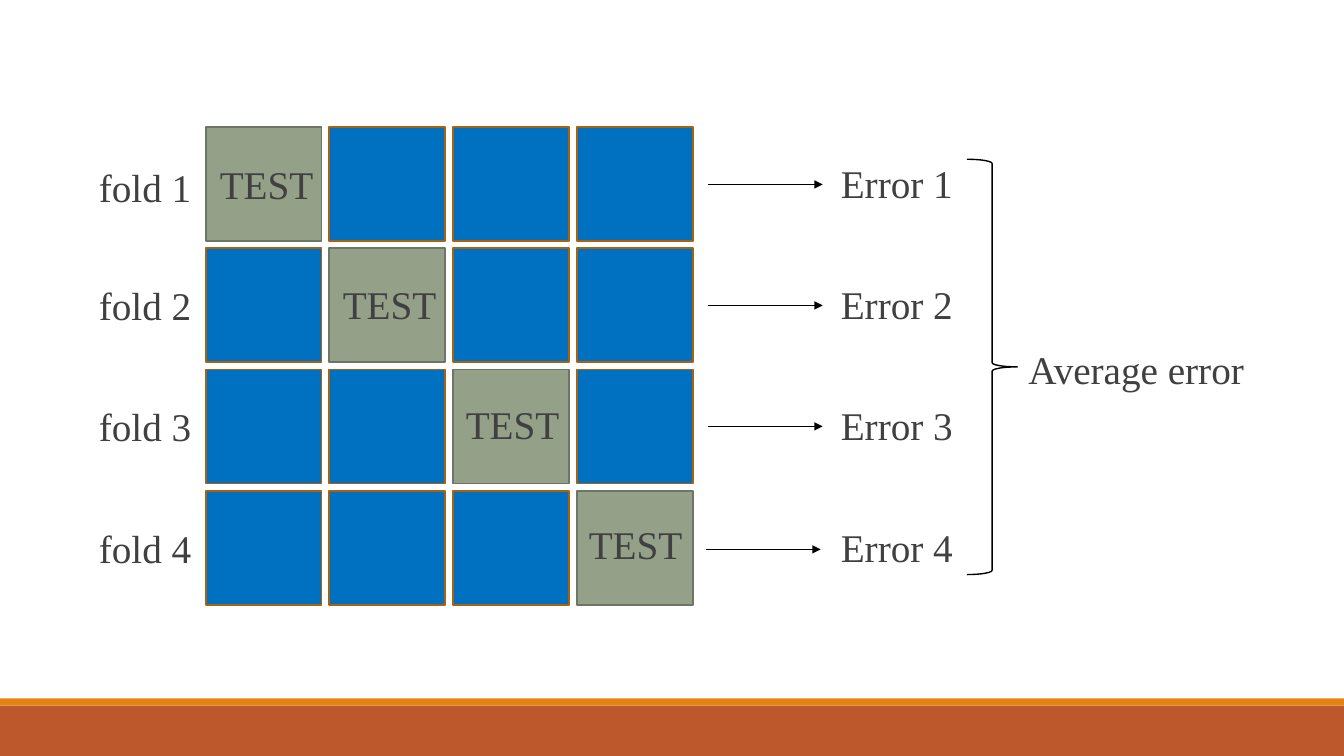
from dataclasses import dataclass

from lxml.etree import SubElement
from pptx import Presentation
from pptx.dml.color import RGBColor
from pptx.enum.shapes import MSO_CONNECTOR, MSO_SHAPE
from pptx.oxml.ns import qn
from pptx.shapes.autoshape import Shape
from pptx.slide import Slide
from pptx.util import Inches, Pt


@dataclass(frozen=True)
class Theme:
    font: str = "Times New Roman"
    text_size: float = 28
    text: str = "404040"
    accent: str = "E48312"
    footer: str = "BD582C"
    train_fill: str = "0070C0"
    train_line: str = "A9610D"
    test_fill: str = "94A088"
    test_line: str = "6D7665"
    ink: str = "000000"
    square_line: float = 1.25
    ink_line: float = 1


@dataclass(frozen=True)
class Area:
    left: float
    top: float
    width: float
    height: float


@dataclass(frozen=True)
class Fold:
    number: int
    label_top: float
    arrow_left: float
    arrow_y: float


THEME = Theme()
FOLDS = [
    Fold(1, 1.62, 7.02, 1.83),
    Fold(2, 2.79, 7.02, 3.03),
    Fold(3, 3.99, 7.02, 4.23),
    Fold(4, 5.20, 7.00, 5.45),
]

# Grid of data squares
GRID_LEFT, GRID_TOP = 2.04, 1.26
COLUMN_STEP, ROW_STEP = 3.68 / 3, 3.61 / 3
SQUARE_WIDTH, SQUARE_HEIGHT = 1.15, 1.13
ARROW_LENGTH = 1.14


def add_figure(page: Slide, kind: MSO_SHAPE, area: Area, fill: str | None,
               line: str | None = None, line_width: float = 1) -> Shape:
    figure = page.shapes.add_shape(kind, Inches(area.left), Inches(area.top),
                                   Inches(area.width), Inches(area.height))
    figure.shadow.inherit = False
    if fill:
        figure.fill.solid()
        figure.fill.fore_color.rgb = RGBColor.from_string(fill)
    else:
        figure.fill.background()
    if line:
        figure.line.color.rgb = RGBColor.from_string(line)
        figure.line.width = Pt(line_width)
    else:
        figure.line.fill.background()
    return figure


def add_label(page: Slide, text: str, area: Area, line_spacing: float = 0.9) -> None:
    box = page.shapes.add_textbox(Inches(area.left), Inches(area.top),
                                  Inches(area.width), Inches(area.height))
    frame = box.text_frame
    frame.word_wrap = True
    frame.margin_left = frame.margin_right = 0
    frame.margin_top = frame.margin_bottom = Inches(0.05)

    para = frame.paragraphs[0]
    para.line_spacing = line_spacing
    para.space_before = Pt(12)
    para.space_after = Pt(2)
    para._p.get_or_add_pPr().set("marL", str(Inches(0.1)))

    span = para.add_run()
    span.text = text
    span.font.name = THEME.font
    span.font.size = Pt(THEME.text_size)
    span.font.color.rgb = RGBColor.from_string(THEME.text)


def add_arrow(page: Slide, left: float, y: float) -> None:
    arrow = page.shapes.add_connector(MSO_CONNECTOR.STRAIGHT, Inches(left), Inches(y),
                                      Inches(left + ARROW_LENGTH), Inches(y))
    arrow.line.color.rgb = RGBColor.from_string(THEME.ink)
    arrow.line.width = Pt(THEME.ink_line)
    SubElement(arrow.line._get_or_add_ln(), qn("a:tailEnd"), type="triangle")
    SubElement(arrow._element.spPr, qn("a:effectLst"))


def add_fold(page: Slide, row: int, fold: Fold) -> None:
    # Squares: the test part moves along the diagonal
    for column in range(len(FOLDS)):
        is_test = column == row
        area = Area(GRID_LEFT + column * COLUMN_STEP, GRID_TOP + row * ROW_STEP,
                    SQUARE_WIDTH, SQUARE_HEIGHT)
        add_figure(page, MSO_SHAPE.RECTANGLE, area,
                   THEME.test_fill if is_test else THEME.train_fill,
                   THEME.test_line if is_test else THEME.train_line,
                   THEME.square_line)

    # Labels and the arrow to the error
    add_label(page, f"fold {fold.number}", Area(0.88, fold.label_top, 1.12, 0.71))
    add_label(page, "TEST", Area(2.08 + row * 1.22, 1.63 + row * 1.19, 1.12, 0.5), 0.8)
    add_arrow(page, fold.arrow_left, fold.arrow_y)
    add_label(page, f"Error {fold.number}", Area(8.24, 1.58 + row * ROW_STEP, 1.36, 0.81))


def main() -> None:
    deck = Presentation()
    deck.slide_width, deck.slide_height = Inches(13.33), Inches(7.5)
    page = deck.slides.add_slide(deck.slide_layouts[6])

    # Footer bands
    add_figure(page, MSO_SHAPE.RECTANGLE, Area(0, 7, 13.33, 0.5), THEME.footer)
    add_figure(page, MSO_SHAPE.RECTANGLE, Area(0, 6.93, 13.33, 0.07), THEME.accent)

    # Folds
    for row, fold in enumerate(FOLDS):
        add_fold(page, row, fold)

    # Brace and average
    add_figure(page, MSO_SHAPE.RIGHT_BRACE, Area(9.59, 1.58, 0.5, 4.12), None,
               THEME.ink, THEME.ink_line)
    add_label(page, "Average error", Area(10.1, 3.43, 2.73, 0.81))

    deck.save("out.pptx")


if __name__ == "__main__":
    main()
